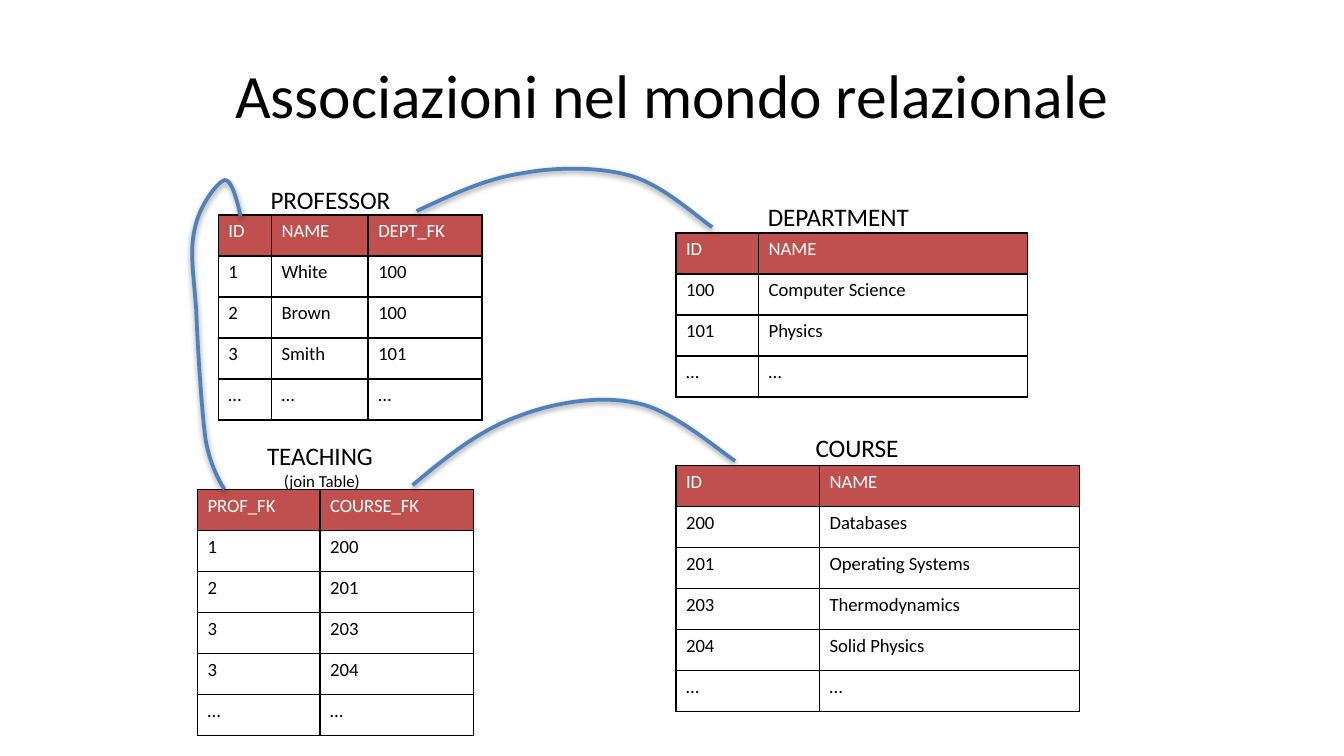
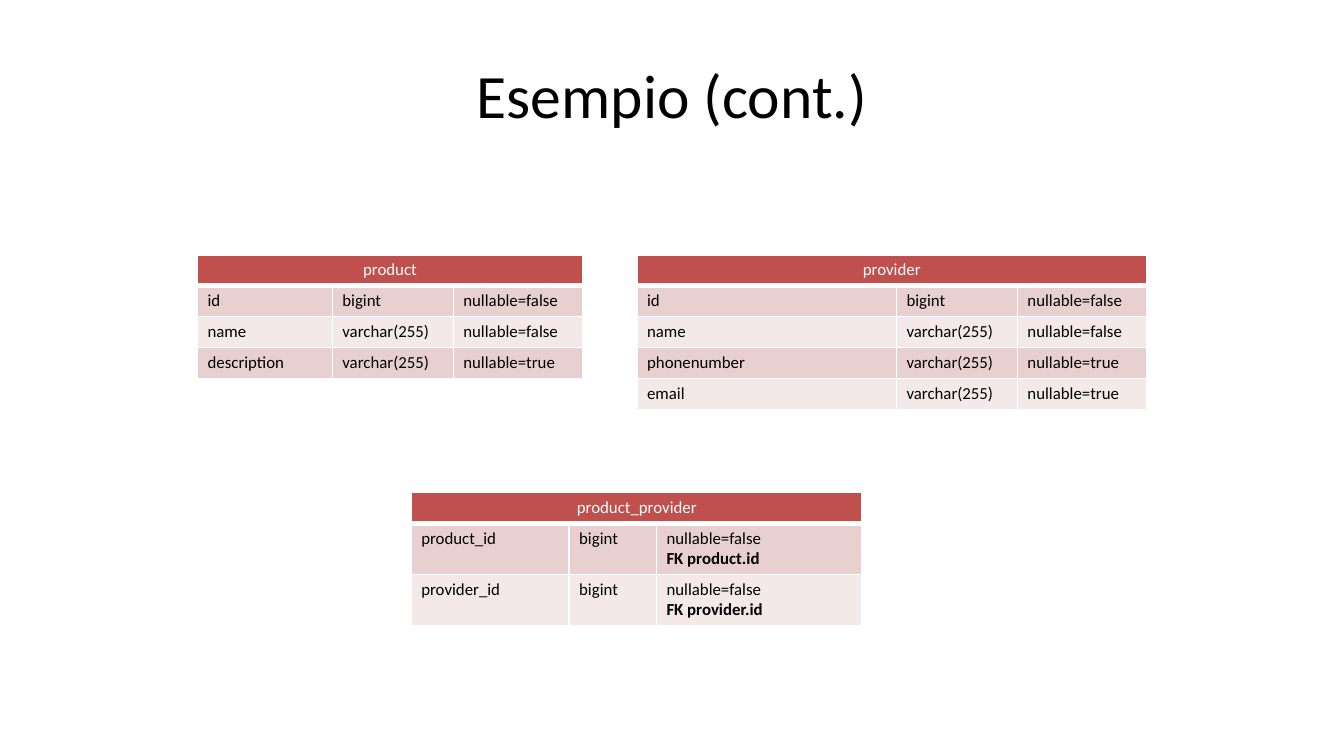
from copy import deepcopy
from dataclasses import dataclass

from lxml.etree import SubElement
from pptx import Presentation
from pptx.dml.color import RGBColor
from pptx.enum.text import MSO_ANCHOR, MSO_AUTO_SIZE, PP_ALIGN
from pptx.oxml.ns import qn
from pptx.util import Inches, Pt


@dataclass(frozen=True)
class Theme:
    font: str = "Calibri"
    black: str = "000000"
    white: str = "FFFFFF"
    red: str = "C0504D"
    pink: str = "E8D0D0"
    pale: str = "F4E9E9"
    blue: str = "4F81BD"
    title_size: float = 33
    label_size: float = 13.5
    note_size: float = 9
    curve_width: float = 2


@dataclass(frozen=True)
class TableLook:
    text_size: float
    border: str
    header_rule: float
    header_align: PP_ALIGN
    bands: tuple


THEME = Theme()
DATA_LOOK = TableLook(10, THEME.black, 1, PP_ALIGN.LEFT, ())
SCHEMA_LOOK = TableLook(9, THEME.white, 3, PP_ALIGN.CENTER, (THEME.pink, THEME.pale))

COLUMNS, ROWS = 100, 56.25
UNIT = Inches(0.1)
DATA_ROW = 3.05
SCHEMA_ROW, SCHEMA_TALL_ROW = 2.3, 3.75


def grid(count):
    """Length of a number of grid columns or rows."""
    return round(count * UNIT)


def add_text(para, text, size, color=THEME.black, bold=False):
    span = para.add_run()
    span.text = text
    span.font.name = THEME.font
    span.font.size = Pt(size)
    span.font.bold = bold
    span.font.color.rgb = RGBColor.from_string(color)
    return span


def place(shape, left, top, width, height):
    shape.left, shape.top = grid(left), grid(top)
    shape.width, shape.height = grid(width), grid(height)


def add_page(deck, title):
    page = deck.slides.add_slide(deck.slide_layouts[5])
    box = page.shapes.title
    place(box, 5, 2.25, COLUMNS - 10, 9.4)
    box.text_frame.vertical_anchor = MSO_ANCHOR.MIDDLE
    para = box.text_frame.paragraphs[0]
    para.alignment = PP_ALIGN.CENTER
    add_text(para, title, THEME.title_size)
    return page


def add_note(para, note):
    """Add a smaller centred line below the label, in the same paragraph."""
    para.alignment = PP_ALIGN.CENTER
    space = add_text(para, " ", THEME.note_size)
    para.add_line_break()
    line_break = para._p[-1]
    line_break.append(deepcopy(space._r.get_or_add_rPr()))
    add_text(para, note, THEME.note_size)


def add_label(page, left, top, width, text, note=None):
    box = page.shapes.add_textbox(grid(left), grid(top), grid(width), grid(4.8 if note else 3.3))
    frame = box.text_frame
    frame.word_wrap = False
    frame.auto_size = MSO_AUTO_SIZE.SHAPE_TO_FIT_TEXT
    para = frame.paragraphs[0]
    add_text(para, text, THEME.label_size)
    if note:
        add_note(para, note)


def set_borders(cell, color, top, bottom):
    properties = cell._tc.get_or_add_tcPr()
    for side, width in (("L", 1), ("R", 1), ("T", top), ("B", bottom)):
        line = SubElement(properties, qn(f"a:ln{side}"), w=str(Pt(width)))
        fill = SubElement(line, qn("a:solidFill"))
        SubElement(fill, qn("a:srgbClr"), val=color)


def set_fill(cell, row, look):
    if row and not look.bands:
        cell.fill.background()
        return
    color = look.bands[(row - 1) % len(look.bands)] if row else THEME.red
    cell.fill.solid()
    cell.fill.fore_color.rgb = RGBColor.from_string(color)


def fill_cell(cell, content, row, look):
    """Write the lines of a cell; lines after the first are bold."""
    cell.margin_left = cell.margin_right = Pt(5.4)
    cell.margin_top = cell.margin_bottom = Pt(2.7)
    header = row == 0
    set_borders(cell, look.border,
                top=look.header_rule if row == 1 else 1,
                bottom=look.header_rule if header else 1)
    set_fill(cell, row, look)
    for index, text in enumerate(content.split("\n") if content else ()):
        frame = cell.text_frame
        para = frame.add_paragraph() if index else frame.paragraphs[0]
        para.alignment = look.header_align if header else PP_ALIGN.LEFT
        add_text(para, text, look.text_size, THEME.white if header else THEME.black, index > 0)


def add_table(page, left, top, widths, heights, rows, look):
    """Add a table; a first row with a single entry spans all columns."""
    frame = page.shapes.add_table(len(rows), len(widths), grid(left), grid(top),
                                  grid(sum(widths)), grid(sum(heights)))
    table = frame.table
    table.first_row = table.horz_banding = False
    for column, width in zip(table.columns, widths):
        column.width = grid(width)
    for line, height in zip(table.rows, heights):
        line.height = grid(height)
    if len(rows[0]) == 1:
        table.cell(0, 0).merge(table.cell(0, len(widths) - 1))
    for row, entries in enumerate(rows):
        padded = entries + ("",) * (len(widths) - len(entries))
        for column, content in enumerate(padded):
            fill_cell(table.cell(row, column), content, row, look)


def add_data_table(page, left, top, widths, rows):
    rows = rows + [("…",) * len(widths)]
    add_table(page, left, top, widths, [DATA_ROW] * len(rows), rows, DATA_LOOK)


def add_schema_table(page, left, top, widths, name, fields):
    heights = [SCHEMA_ROW]
    for field in fields:
        heights.append(SCHEMA_TALL_ROW if "\n" in field[-1] else SCHEMA_ROW)
    add_table(page, left, top, widths, heights, [(name,)] + fields, SCHEMA_LOOK)


def bend_segments(curve):
    """Turn each three straight segments into one cubic arc through the same points."""
    outline = next(curve._element.iter(qn("a:path")))
    segments = outline.findall(qn("a:lnTo"))
    for first in range(0, len(segments), 3):
        arc = SubElement(outline, qn("a:cubicBezTo"))
        for segment in segments[first:first + 3]:
            arc.append(segment[0])
            outline.remove(segment)


def add_curve(page, knots):
    """Draw joined cubic arcs: a start, then two handles and an end for each arc."""
    points = [(grid(x), grid(y)) for x, y in knots]
    builder = page.shapes.build_freeform(*points[0])
    builder.add_line_segments(points[1:], close=False)
    curve = builder.convert_to_shape()
    bend_segments(curve)
    curve.fill.background()
    curve.line.color.rgb = RGBColor.from_string(THEME.blue)
    curve.line.width = Pt(THEME.curve_width)
    effects = SubElement(curve._element.spPr, qn("a:effectLst"))
    shadow = SubElement(effects, qn("a:outerShdw"), blurRad=str(Pt(3.1)), dist=str(Pt(1.6)),
                        dir="5400000", rotWithShape="0")
    color = SubElement(shadow, qn("a:srgbClr"), val=THEME.black)
    SubElement(color, qn("a:alpha"), val="38000")


def build_associations(deck):
    page = add_page(deck, "Associazioni nel mondo relazionale")
    add_data_table(page, 16.25, 16, (3.95, 7.2, 8.45), [
        ("ID", "NAME", "DEPT_FK"),
        ("1", "White", "100"),
        ("2", "Brown", "100"),
        ("3", "Smith", "101"),
    ])
    add_data_table(page, 50.3, 17.35, (6.15, 20), [
        ("ID", "NAME"),
        ("100", "Computer Science"),
        ("101", "Physics"),
    ])
    add_data_table(page, 50.3, 34.65, (10.68, 19.35), [
        ("ID", "NAME"),
        ("200", "Databases"),
        ("201", "Operating Systems"),
        ("203", "Thermodynamics"),
        ("204", "Solid Physics"),
    ])
    add_data_table(page, 14.7, 36.43, (9.12, 11.4), [
        ("PROF_FK", "COURSE_FK"),
        ("1", "200"),
        ("2", "201"),
        ("3", "203"),
        ("3", "204"),
    ])
    add_label(page, 19.15, 13.2, 11.1, "PROFESSOR")
    add_label(page, 56.15, 14.5, 12.7, "DEPARTMENT")
    add_label(page, 59.7, 31.65, 8.3, "COURSE")
    add_label(page, 18.8, 32.3, 10.3, "TEACHING", "(join Table)")

    teaching_to_course = [
        (30.7, 36.1), (33.2, 34), (35.7, 32), (38.5, 31), (41.3, 29.9),
        (44.7, 29.4), (47.4, 30), (50.1, 30.5), (53.7, 33.7), (54.7, 34.3)]
    professor_to_department = [
        (31, 15.7), (33.6, 14.5), (36.1, 13.3), (38.8, 12.9), (41.4, 12.4),
        (44.6, 12.4), (47, 13.1), (49.4, 13.8), (52.2, 16.4), (53, 16.9)]
    professor_to_teaching = [
        (17.9, 16.1), (17.6, 14.7), (17.2, 13.3), (16.7, 13.4), (16.1, 13.6),
        (14.8, 15.4), (14.5, 17), (14.1, 18.6), (14.4, 20.4), (14.6, 23),
        (14.7, 25.7), (15, 30.5), (15.3, 32.7), (15.7, 35), (16.7, 36.4), (16.7, 36.4)]
    for knots in (teaching_to_course, professor_to_department, professor_to_teaching):
        add_curve(page, knots)


def build_example(deck):
    page = add_page(deck, "Esempio (cont.)")
    add_schema_table(page, 14.7, 18.96, (10.03, 9, 9.6), "product", [
        ("id", "bigint", "nullable=false"),
        ("name", "varchar(255)", "nullable=false"),
        ("description", "varchar(255)", "nullable=true"),
    ])
    add_schema_table(page, 47.4, 18.96, (19.3, 9, 9.6), "provider", [
        ("id", "bigint", "nullable=false"),
        ("name", "varchar(255)", "nullable=false"),
        ("phonenumber", "varchar(255)", "nullable=true"),
        ("email", "varchar(255)", "nullable=true"),
    ])
    add_schema_table(page, 30.6, 36.65, (11.75, 6.5, 15.3), "product_provider", [
        ("product_id", "bigint", "nullable=false\nFK product.id"),
        ("provider_id", "bigint", "nullable=false\nFK provider.id"),
    ])


def main():
    deck = Presentation()
    deck.slide_width, deck.slide_height = grid(COLUMNS), grid(ROWS)
    build_associations(deck)
    build_example(deck)
    deck.save("out.pptx")


if __name__ == "__main__":
    main()
